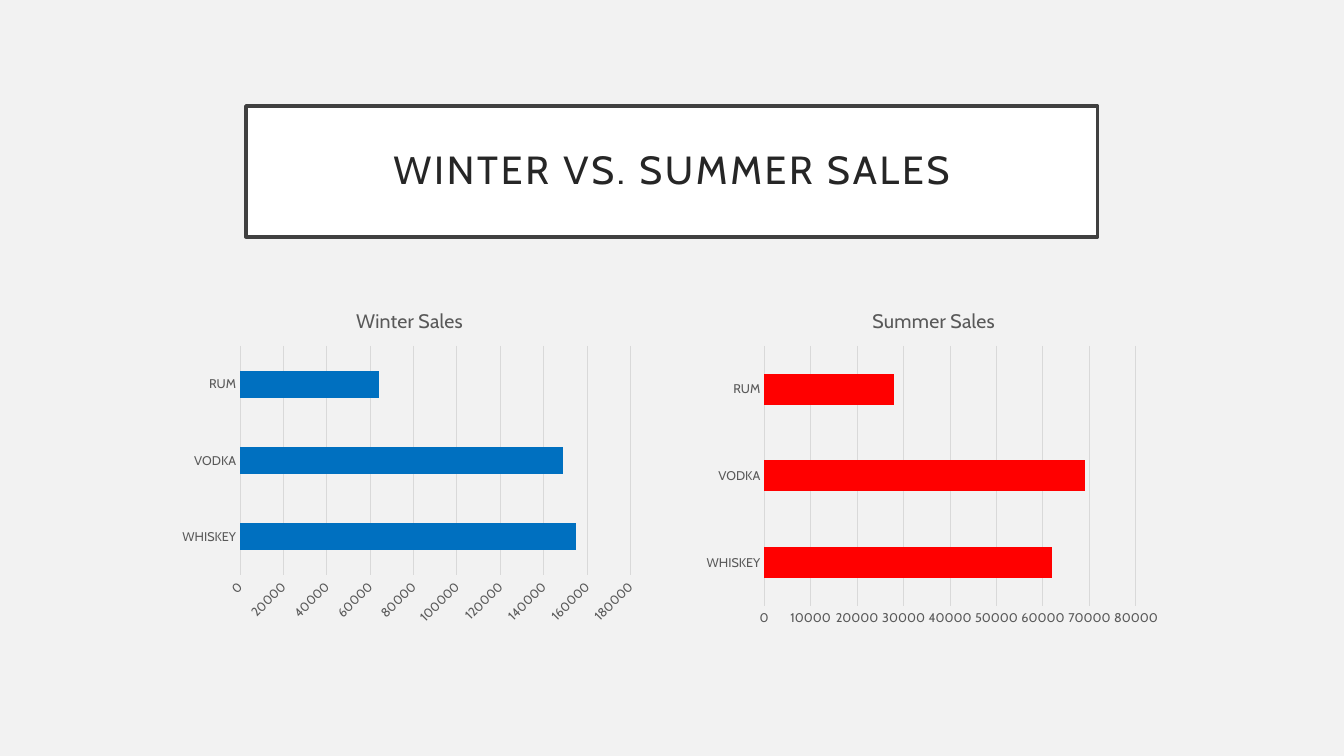
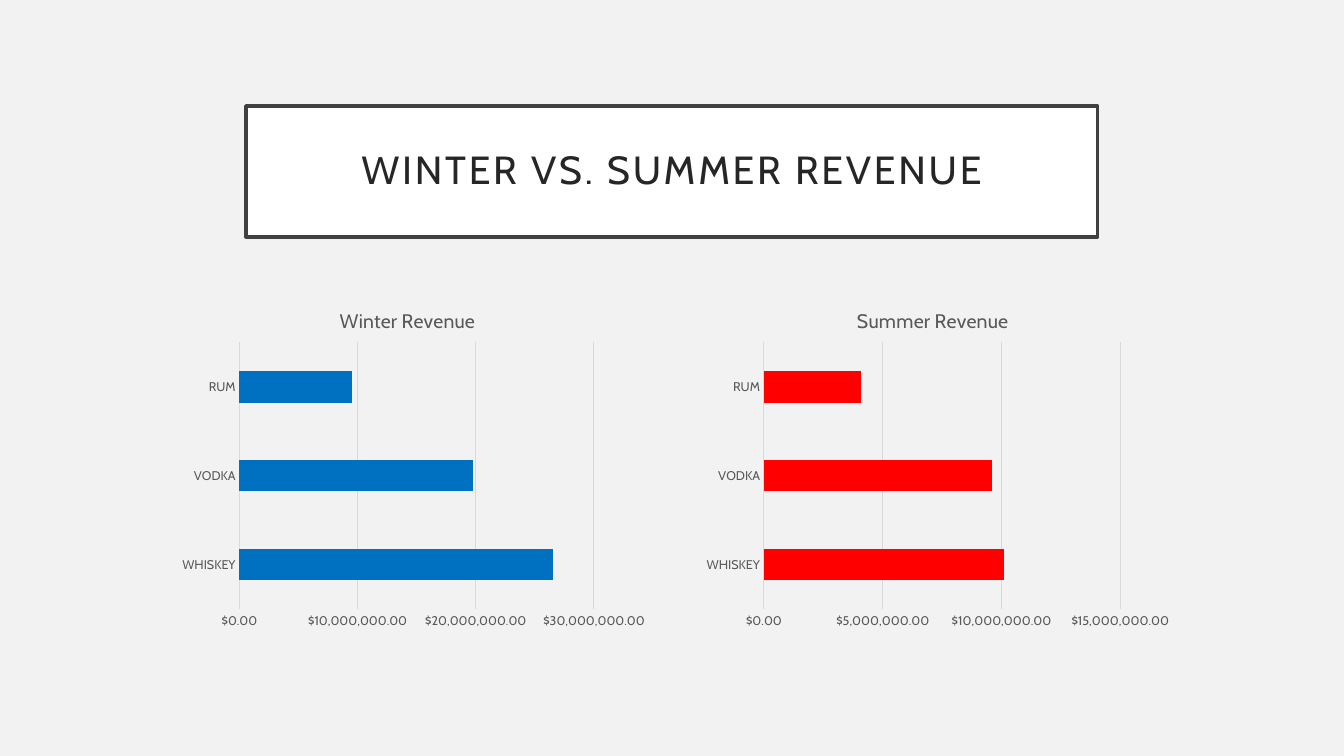
from collections import namedtuple

from lxml.etree import SubElement
from pptx import Presentation
from pptx.chart.data import CategoryChartData
from pptx.dml.color import RGBColor
from pptx.enum.chart import XL_CHART_TYPE, XL_TICK_MARK
from pptx.enum.shapes import MSO_SHAPE
from pptx.enum.text import MSO_ANCHOR, PP_ALIGN
from pptx.oxml.ns import qn
from pptx.util import Cm, Pt

# Shared style
FONT = "Cabin"
PAPER = RGBColor(0xF2, 0xF2, 0xF2)
WHITE = RGBColor(0xFF, 0xFF, 0xFF)
FRAME = RGBColor(0x40, 0x40, 0x40)
TITLE_INK = RGBColor(0x26, 0x26, 0x26)
LABEL_INK = RGBColor(0x59, 0x59, 0x59)
GRID = RGBColor(0xD9, 0xD9, 0xD9)
BLACK = RGBColor(0, 0, 0)
WINTER_BLUE = RGBColor(0x00, 0x70, 0xC0)
SUMMER_RED = RGBColor(0xFF, 0x00, 0x00)

# Shared regions: left, top, width, height
TITLE_BOX = (Cm(6.2), Cm(2.67), Cm(21.46), Cm(3.3))
WINTER_BOX = (Cm(4.39), Cm(7.34), Cm(11.86), Cm(8.61))
SUMMER_BOX = (Cm(17.6), Cm(7.34), Cm(11.86), Cm(8.61))

DRINKS = ("WHISKEY", "VODKA", "RUM")
COUNT = "General"
DOLLARS = '"$"#,##0.00'

# plot holds x, y, w, h as fractions of the chart; tilt is in degrees
Season = namedtuple("Season", "name values color top_value step plot tilt")


def style_font(font, size, color):
    font.name = FONT
    font.size = Pt(size)
    font.bold = False
    font.color.rgb = color


def add_title_band(slide, box, title):
    band = slide.shapes.add_shape(MSO_SHAPE.RECTANGLE, *box)
    band.shadow.inherit = False
    band.fill.solid()
    band.fill.fore_color.rgb = WHITE
    band.line.color.rgb = FRAME
    band.line.width = Pt(2.5)

    frame = band.text_frame
    frame.text = title
    frame.word_wrap = True
    frame.vertical_anchor = MSO_ANCHOR.MIDDLE
    frame.margin_left = frame.margin_right = Cm(0.5)
    frame.margin_top = frame.margin_bottom = Cm(0.5)
    paragraph = frame.paragraphs[0]
    paragraph.alignment = PP_ALIGN.CENTER
    paragraph.line_spacing = 0.9
    font = paragraph.runs[0].font
    style_font(font, 28, TITLE_INK)
    paragraph.runs[0]._r.get_or_add_rPr().set("spc", "200")


def place_plot(chart, plot):
    """Fix the inner plot area, without its labels."""
    area = chart._chartSpace.chart.plotArea
    for old_layout in area.findall(qn("c:layout")):
        area.remove(old_layout)
    layout = SubElement(area, qn("c:layout"))
    area.insert(0, layout)
    manual = SubElement(layout, qn("c:manualLayout"))
    settings = [("layoutTarget", "inner"), ("xMode", "edge"), ("yMode", "edge")]
    settings += zip("xywh", plot)
    for tag, value in settings:
        SubElement(manual, qn(f"c:{tag}")).set("val", str(value))


def style_axes(chart, season, number_format):
    drinks_axis, amount_axis = chart.category_axis, chart.value_axis
    for axis in (drinks_axis, amount_axis):
        axis.major_tick_mark = axis.minor_tick_mark = XL_TICK_MARK.NONE
        style_font(axis.tick_labels.font, 9, LABEL_INK)
    drinks_axis.format.line.color.rgb = GRID
    drinks_axis.format.line.width = Pt(0.75)

    amount_axis.format.line.fill.background()
    amount_axis.minimum_scale = 0
    amount_axis.maximum_scale = season.top_value
    amount_axis.major_unit = season.step
    amount_axis.tick_labels.number_format = number_format
    amount_axis.tick_labels.number_format_is_linked = False
    grid_line = amount_axis.major_gridlines.format.line
    grid_line.color.rgb = GRID
    grid_line.width = Pt(0.75)
    label_body = amount_axis._element.find(qn("c:txPr")).find(qn("a:bodyPr"))
    label_body.set("rot", str(season.tilt * 60000))


def add_season_chart(slide, box, season, number_format):
    data = CategoryChartData(number_format=number_format)
    data.categories = DRINKS
    data.add_series(season.name, season.values)
    chart = slide.shapes.add_chart(XL_CHART_TYPE.BAR_CLUSTERED, *box, data).chart
    style_font(chart.font, 10, BLACK)
    chart.has_legend = False

    # Heading
    chart.has_title = True
    heading = chart.chart_title
    heading.include_in_layout = False
    heading.text_frame.text = season.name
    style_font(heading.text_frame.paragraphs[0].runs[0].font, 14, LABEL_INK)

    # Bars
    bars = chart.plots[0]
    bars.vary_by_categories = False
    bars.gap_width = 182
    fill = bars.series[0].format.fill
    fill.solid()
    fill.fore_color.rgb = season.color

    style_axes(chart, season, number_format)
    place_plot(chart, season.plot)


def add_comparison_slide(deck, title, winter, summer, number_format):
    slide = deck.slides.add_slide(deck.slide_layouts[6])
    slide.background.fill.solid()
    slide.background.fill.fore_color.rgb = PAPER
    add_title_band(slide, TITLE_BOX, title)
    add_season_chart(slide, WINTER_BOX, winter, number_format)
    add_season_chart(slide, SUMMER_BOX, summer, number_format)


deck = Presentation()
deck.slide_width, deck.slide_height = Cm(33.87), Cm(19.05)

add_comparison_slide(
    deck, "WINTER VS. SUMMER SALES",
    Season("Winter Sales", (155000, 149000, 64000), WINTER_BLUE,
           180000, 20000, (0.14, 0.16, 0.83, 0.67), -45),
    Season("Summer Sales", (62000, 69000, 28000), SUMMER_RED,
           80000, 10000, (0.14, 0.16, 0.79, 0.76), 0),
    COUNT)

REVENUE_PLOT = (0.14, 0.15, 0.76, 0.78)
add_comparison_slide(
    deck, "WINTER VS. SUMMER REVENUE",
    Season("Winter Revenue", (26500000, 19800000, 9500000), WINTER_BLUE,
           30000000, 10000000, REVENUE_PLOT, 0),
    Season("Summer Revenue", (10100000, 9600000, 4100000), SUMMER_RED,
           15000000, 5000000, REVENUE_PLOT, 0),
    DOLLARS)

deck.save("out.pptx")
